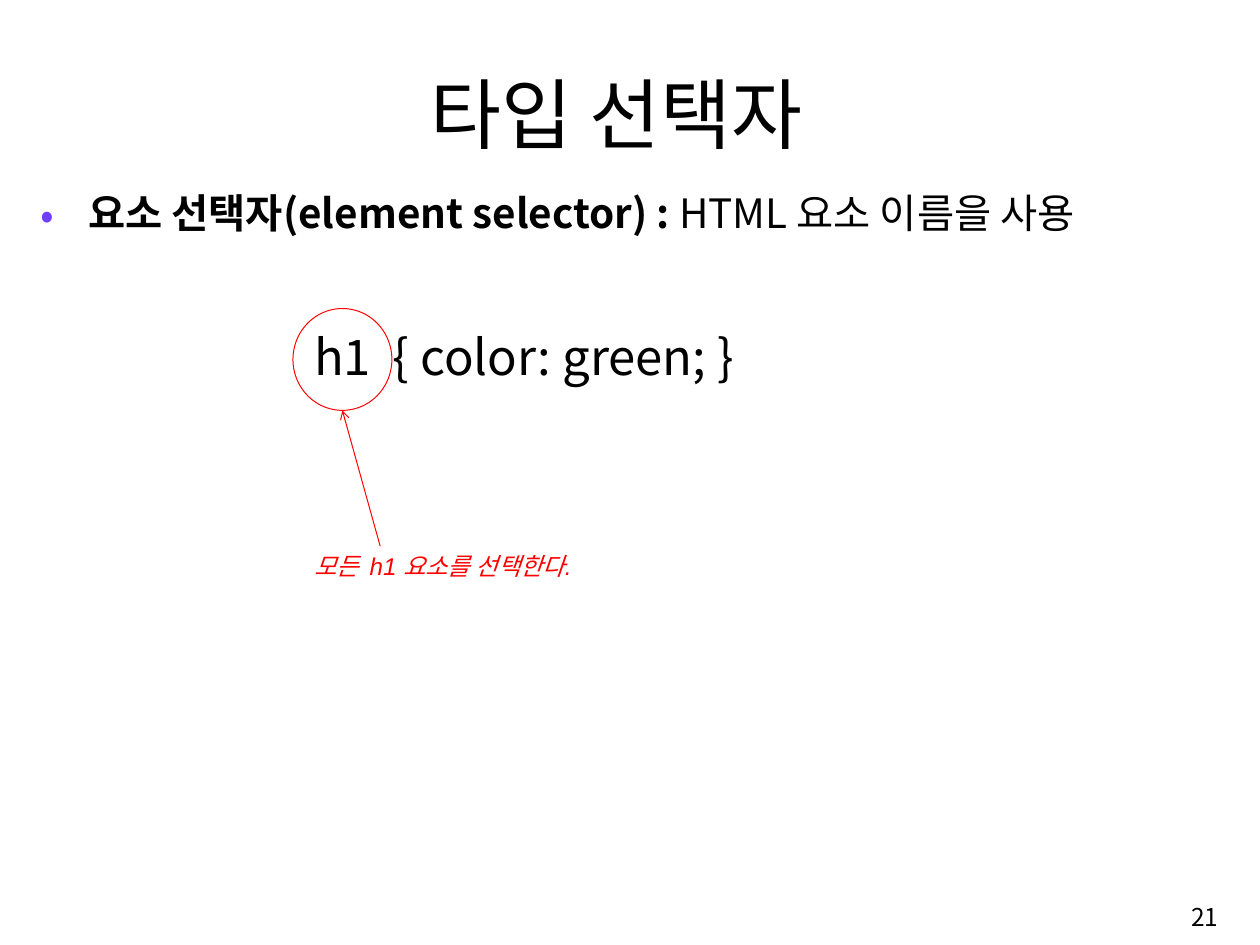
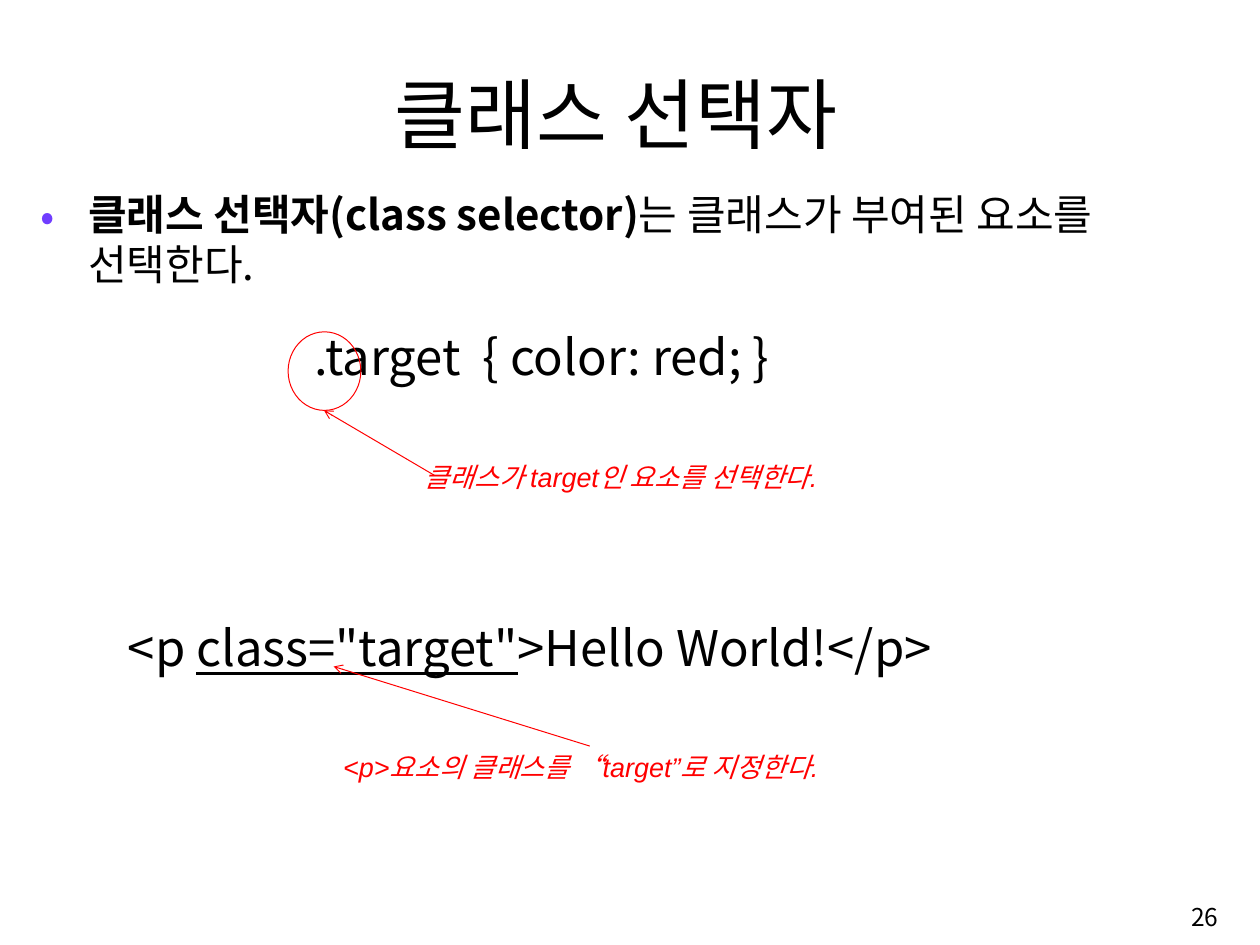
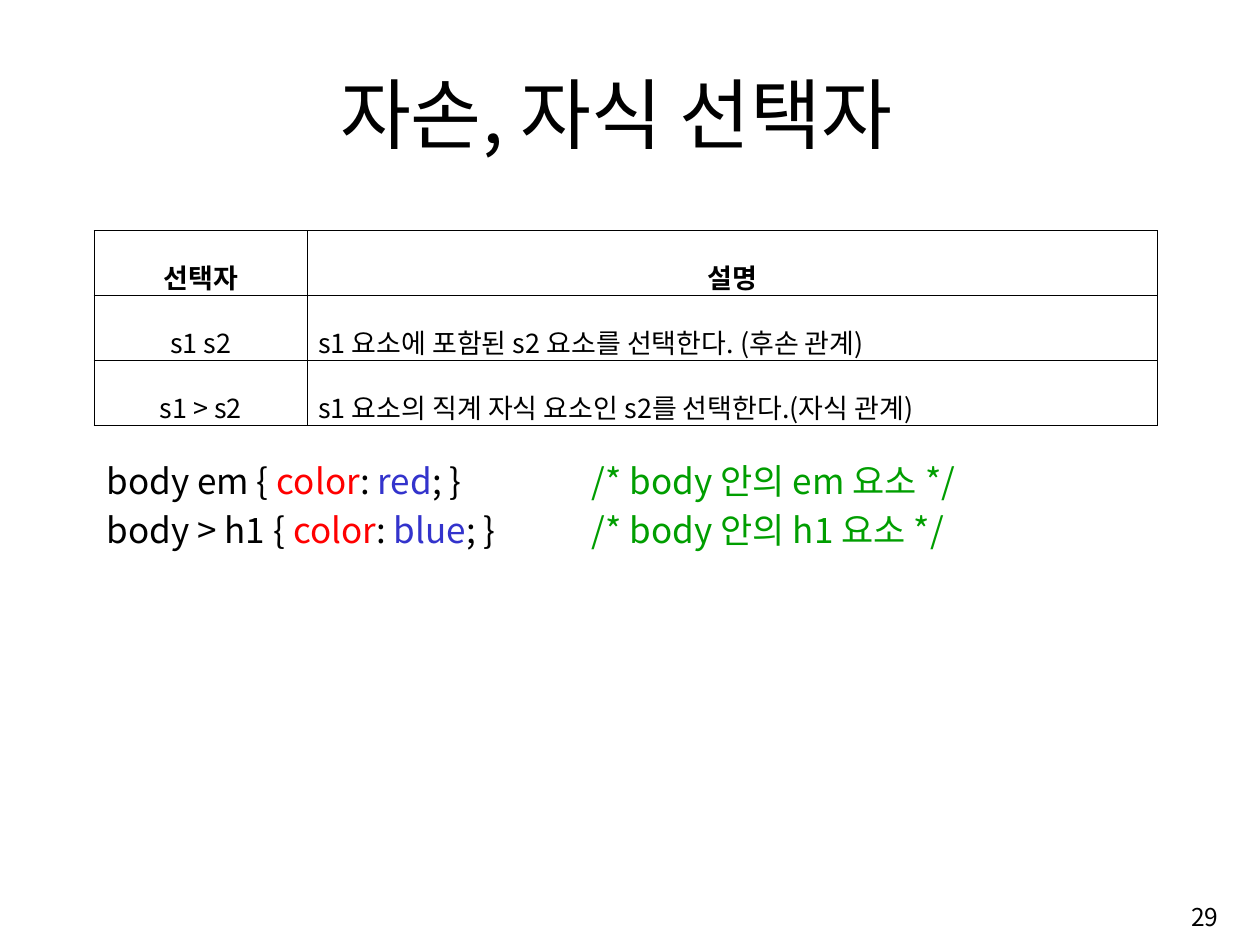
from lxml.etree import SubElement
from pptx import Presentation
from pptx.dml.color import RGBColor
from pptx.enum.shapes import MSO_CONNECTOR, MSO_SHAPE
from pptx.enum.text import MSO_ANCHOR, MSO_AUTO_SIZE, PP_ALIGN
from pptx.oxml.ns import qn
from pptx.util import Inches, Pt

COLORS = {
    "text": "000000",
    "note": "FF0000",
    "bullet": "703DFF",
    "value": "3333CC",
    "comment": "009E00",
}
FONT = "Noto Sans CJK KR"
NOTE_FONT = "Arial"
CODE_SIZE = 36.4


def write_spans(paragraph, spans, size, color="text", font=FONT, italic=False):
    """Add (text, changes) spans; changes may set color, bold or underline."""
    for text, changes in spans:
        span = paragraph.add_run()
        span.text = text
        span.font.size = Pt(size)
        span.font.bold = changes.get("bold", False)
        span.font.italic = italic
        span.font.underline = changes.get("underline", False)
        span.font.color.rgb = RGBColor.from_string(COLORS[changes.get("color", color)])
        span.font.name = font
        SubElement(span._r.get_or_add_rPr(), qn("a:ea"), typeface=FONT)


def add_text(page, place, spans, size, **style):
    """Add a wrapped text box with one paragraph and return the box."""
    box = page.shapes.add_textbox(*map(Inches, place))
    box.text_frame.word_wrap = True
    write_spans(box.text_frame.paragraphs[0], spans, size, **style)
    return box


deck = Presentation()
deck.slide_width = Inches(12.99)
deck.slide_height = Inches(9.74)

# Titles and page numbers
pages = []
for title_text, number in [("타입 선택자", 21), ("클래스 선택자", 26), ("자손, 자식 선택자", 29)]:
    page = deck.slides.add_slide(deck.slide_layouts[5])
    title = page.shapes.title
    title.left, title.top, title.width, title.height = map(Inches, (1.05, 0.61, 10.61, 1.08))
    title.text_frame.auto_size = MSO_AUTO_SIZE.NONE
    title.text_frame.vertical_anchor = MSO_ANCHOR.BOTTOM
    title.text_frame.paragraphs[0].alignment = PP_ALIGN.CENTER
    write_spans(title.text_frame.paragraphs[0], [(title_text, {})], 57.2)

    number_box = add_text(page, (9.98, 9.15, 2.68, 0.6), [(str(number), {})], 18.2)
    number_box.text_frame.vertical_anchor = MSO_ANCHOR.MIDDLE
    number_box.text_frame.paragraphs[0].alignment = PP_ALIGN.RIGHT
    pages.append(page)
type_page, class_page, family_page = pages

# Bulleted definitions
definitions = [
    (type_page, 30, "요소 선택자(element selector) : ", "HTML 요소 이름을 사용"),
    (class_page, 31.2, "클래스 선택자(class selector)", "는 클래스가 부여된 요소를 선택한다."),
]
for page, size, term, meaning in definitions:
    box = add_text(page, (0.32, 1.89, 12.32, 7.06), [(term, {"bold": True}), (meaning, {})], size)
    paragraph = box.text_frame.paragraphs[0]
    paragraph.space_before = Pt(size * 0.2)
    properties = paragraph._p.get_or_add_pPr()
    properties.set("marL", str(Inches(0.49)))
    properties.set("indent", str(-Inches(0.49)))
    bullet_color = SubElement(properties, qn("a:buClr"))
    SubElement(bullet_color, qn("a:srgbClr"), val=COLORS["bullet"])
    SubElement(properties, qn("a:buFont"), typeface=FONT)
    SubElement(properties, qn("a:buChar"), char="•")

# Code examples
html_spans = [("<p ", {}), ('class="target"', {"underline": True}), (">Hello World!</p>", {})]
examples = [
    (type_page, (3.14, 3.32, 4.71, 0.71), [("h1  { color: green; }", {})]),
    (class_page, (3.14, 3.32, 5.05, 0.71), [(".target  { color: red; }", {})]),
    (class_page, (1.22, 6.31, 8.9, 0.71), html_spans),
]
for page, place, spans in examples:
    add_text(page, place, spans, CODE_SIZE)

# Circles around the selectors
for page, place in [(type_page, (3.02, 3.18, 1.02, 1.05)), (class_page, (2.97, 3.42, 0.75, 0.81))]:
    circle = page.shapes.add_shape(MSO_SHAPE.OVAL, *map(Inches, place))
    circle.shadow.inherit = False
    circle.fill.background()
    circle.line.color.rgb = RGBColor.from_string(COLORS["note"])
    circle.line.width = Pt(0.75)

# Notes with arrows to the code
notes = [
    (type_page, (3.14, 5.63, 3.18, 0.4), "모든  h1 요소를 선택한다.", 18, (3.92, 5.63, 3.53, 4.23)),
    (class_page, (4.28, 4.7, 4.59, 0.44), "클래스가 target인 요소를 선택한다.", 20, (4.48, 4.9, 3.34, 4.23)),
    (class_page, (3.44, 7.69, 5.27, 0.44), "<p>요소의 클래스를 “target”로 지정한다.", 20, (6.08, 7.69, 3.44, 6.87)),
]
for page, place, text, size, ends in notes:
    add_text(page, place, [(text, {})], size, color="note", font=NOTE_FONT, italic=True)
    arrow = page.shapes.add_connector(MSO_CONNECTOR.STRAIGHT, *map(Inches, ends))
    arrow.line.color.rgb = RGBColor.from_string(COLORS["note"])
    arrow.line.width = Pt(0.75)
    SubElement(arrow.line._get_or_add_ln(), qn("a:tailEnd"), type="arrow")
    SubElement(arrow._element.spPr, qn("a:effectLst"))

# Selector table
rows = [
    ("선택자", "설명"),
    ("s1 s2", "s1 요소에 포함된 s2 요소를 선택한다. (후손 관계)"),
    ("s1 > s2", "s1 요소의 직계 자식 요소인 s2를 선택한다.(자식 관계)"),
]
table = family_page.shapes.add_table(3, 2, *map(Inches, (0.97, 2.38, 10.96, 2.01))).table
table.first_row = table.horz_banding = False
table.columns[0].width = Inches(2.2)
table.columns[1].width = Inches(8.76)
for row_index, texts in enumerate(rows):
    table.rows[row_index].height = Inches(0.67)
    for column_index, text in enumerate(texts):
        is_header = row_index == 0
        cell = table.cell(row_index, column_index)
        cell.fill.background()
        cell.vertical_anchor = MSO_ANCHOR.MIDDLE
        cell.margin_left = cell.margin_right = Inches(0.11)
        cell.margin_top = cell.margin_bottom = Inches(0.03)
        paragraph = cell.text_frame.paragraphs[0]
        paragraph.line_spacing = 1.6
        paragraph.alignment = PP_ALIGN.CENTER if is_header or column_index == 0 else PP_ALIGN.JUSTIFY
        write_spans(paragraph, [(text, {"bold": is_header})], 20)
        cell_properties = cell._tc.get_or_add_tcPr()
        for position, side in enumerate(("a:lnL", "a:lnR", "a:lnT", "a:lnB")):
            border = SubElement(cell_properties, qn(side), w=str(Pt(1)))
            border_fill = SubElement(border, qn("a:solidFill"))
            SubElement(border_fill, qn("a:srgbClr"), val=COLORS["text"])
            cell_properties.insert(position, border)

# Commented style rules
rules_box = family_page.shapes.add_textbox(*map(Inches, (0.97, 4.68, 11.67, 2.3)))
rules_frame = rules_box.text_frame
rules_frame.word_wrap = True
rules_frame.margin_left = rules_frame.margin_right = Inches(0.13)
rules_frame.margin_top = rules_frame.margin_bottom = Inches(0.06)
rules = [("body em", "red", "/* body 안의 em 요소 */"), ("body > h1", "blue", "/* body 안의 h1 요소 */")]
for index, (selector, value, comment) in enumerate(rules):
    paragraph = rules_frame.add_paragraph() if index else rules_frame.paragraphs[0]
    paragraph.space_before = Pt(5.2)
    tab_list = SubElement(paragraph._p.get_or_add_pPr(), qn("a:tabLst"))
    SubElement(tab_list, qn("a:tab"), pos=str(Inches(5)), algn="l")
    spans = [
        (selector + " { ", {}),
        ("color", {"color": "note"}),
        (": ", {}),
        (value, {"color": "value"}),
        ("; }\t", {}),
        (comment, {"color": "comment"}),
    ]
    write_spans(paragraph, spans, 26)

deck.save("out.pptx")
